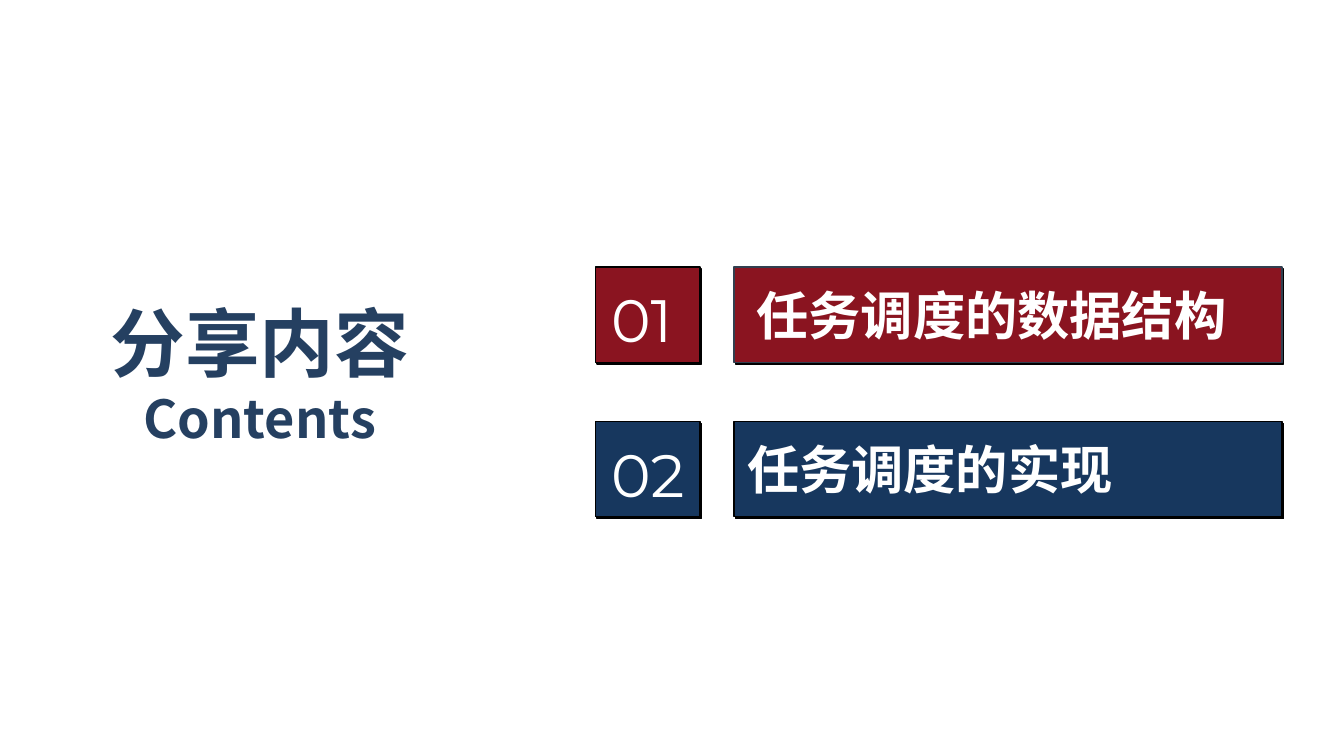
from dataclasses import dataclass

from lxml.etree import SubElement
from pptx import Presentation
from pptx.dml.color import RGBColor
from pptx.enum.shapes import MSO_SHAPE
from pptx.enum.text import MSO_AUTO_SIZE, PP_ALIGN
from pptx.oxml.ns import qn
from pptx.slide import Slide
from pptx.util import Cm, Pt

RED = RGBColor(0x8A, 0x14, 0x20)
NAVY = RGBColor(0x17, 0x37, 0x5E)
TITLE_BLUE = RGBColor(0x25, 0x40, 0x61)
SLATE = RGBColor(0x32, 0x3F, 0x4F)
BLACK = RGBColor(0, 0, 0)
WHITE = RGBColor(255, 255, 255)

CJK = "Noto Sans CJK SC"
LATIN = "Montserrat"

FIRST_TOP, ROW_PITCH, BAR_HEIGHT = 5.05, 2.92, 1.8
NUMBER_LEFT, BAR_LEFT = 11.25, 13.87
TEXT_RIGHT, TEXT_DROP = 24.74, 0.18


@dataclass
class Entry:
    number: str
    heading: str
    fill: RGBColor
    bar_line: RGBColor
    text_left: float


ENTRIES = [
    Entry("01", "任务调度的数据结构", RED, SLATE, 14.05),
    Entry("02", "任务调度的实现", NAVY, BLACK, BAR_LEFT),
]


def add_text(s: Slide, lines: list[str], left: float, top: float, width: float,
             height: float, *, sizes: list[int], font: str, color: RGBColor,
             bold: bool = False, align: PP_ALIGN = PP_ALIGN.LEFT,
             wrap: bool = True) -> None:
    tf = s.shapes.add_textbox(Cm(left), Cm(top), Cm(width), Cm(height)).text_frame
    tf.word_wrap = wrap
    tf.auto_size = MSO_AUTO_SIZE.SHAPE_TO_FIT_TEXT
    for i, (line, size) in enumerate(zip(lines, sizes)):
        p = tf.add_paragraph() if i else tf.paragraphs[0]
        p.alignment = align
        r = p.add_run()
        r.text = line
        r.font.size = Pt(size)
        r.font.bold = bold
        r.font.color.rgb = color
        r.font.name = font
        SubElement(r.font._element, qn("a:ea"), typeface=font)


def add_box(s: Slide, left: float, top: float, width: float,
            fill: RGBColor, line: RGBColor) -> None:
    sp = s.shapes.add_shape(MSO_SHAPE.RECTANGLE, Cm(left), Cm(top),
                            Cm(width), Cm(BAR_HEIGHT))
    sp.fill.solid()
    sp.fill.fore_color.rgb = fill
    sp.line.color.rgb = line
    sp.line.width = Pt(0.75)
    sp.shadow.inherit = False
    effects = sp._element.spPr.find(qn("a:effectLst"))
    shadow = SubElement(effects, qn("a:outerShdw"), dist=str(Pt(1.4)),
                        dir=str(45 * 60000), algn="ctr", rotWithShape="0")
    SubElement(shadow, qn("a:srgbClr"), val=str(BLACK))


def add_entry(s: Slide, entry: Entry, top: float) -> None:
    text_top = top + TEXT_DROP
    add_box(s, NUMBER_LEFT, top, 1.98, entry.fill, BLACK)
    add_text(s, [entry.number], NUMBER_LEFT + 0.05, text_top, 2.13, 1.63,
             sizes=[32], font=LATIN, color=WHITE)
    add_box(s, BAR_LEFT, top, 10.36, entry.fill, entry.bar_line)
    add_text(s, [entry.heading], entry.text_left, text_top,
             TEXT_RIGHT - entry.text_left, 1.45,
             sizes=[28], font=CJK, color=WHITE, bold=True)


def main() -> None:
    prs = Presentation()
    prs.slide_width, prs.slide_height = Cm(25.4), Cm(14.29)
    s = prs.slides.add_slide(prs.slide_layouts[6])
    for i, entry in enumerate(ENTRIES):
        add_entry(s, entry, FIRST_TOP + i * ROW_PITCH)
    add_text(s, ["分享内容", "Contents"], 1.8, 5.49, 6.22, 3.18, sizes=[40, 28],
             font=CJK, color=TITLE_BLUE, bold=True, align=PP_ALIGN.CENTER, wrap=False)
    prs.save("out.pptx")


if __name__ == "__main__":
    main()
